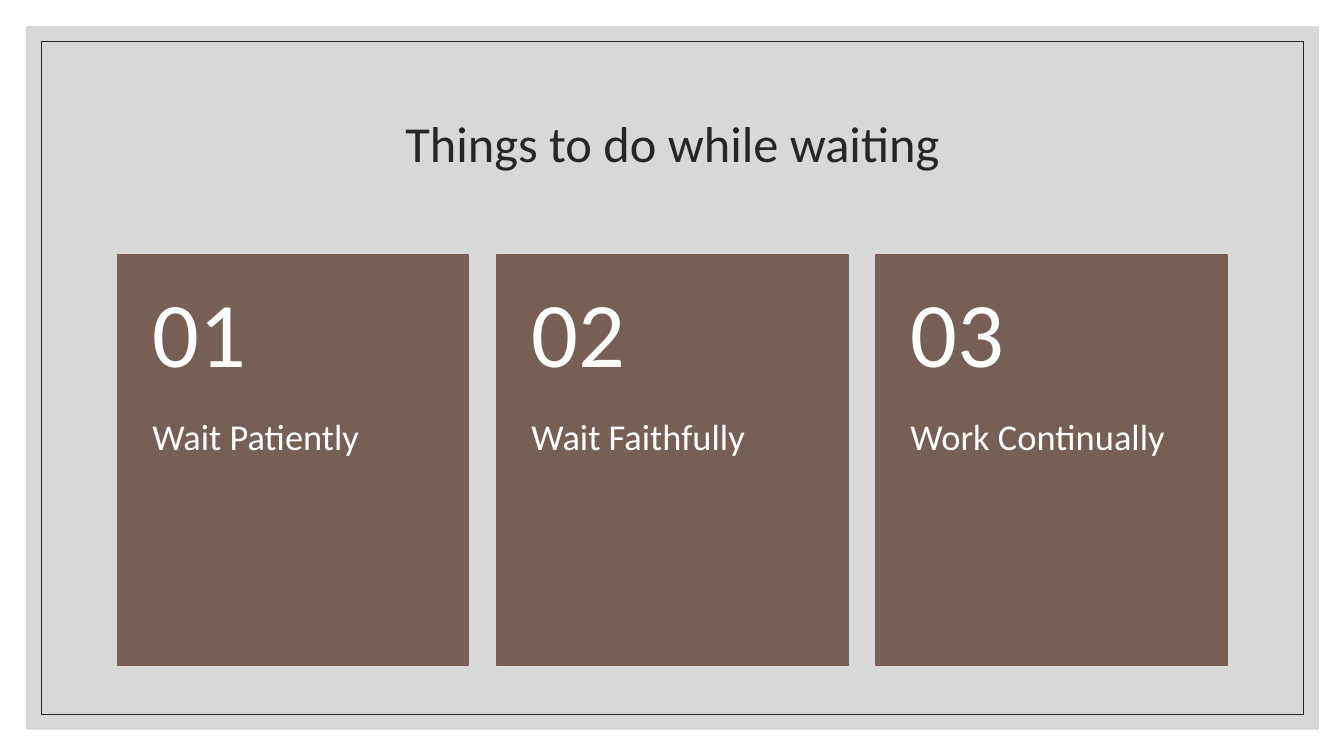
"""Build the slide of three numbered things to do while waiting."""
from dataclasses import dataclass

from lxml.etree import SubElement
from pptx import Presentation
from pptx.dml.color import RGBColor
from pptx.enum.shapes import MSO_SHAPE
from pptx.enum.text import MSO_ANCHOR, MSO_AUTO_SIZE, PP_ALIGN
from pptx.oxml.ns import qn
from pptx.shapes.autoshape import Shape
from pptx.slide import Slide
from pptx.text.text import TextFrame
from pptx.util import Pt

EMU_PER_PX = 9144
COLORS = {"panel": "BFBFBF", "ink": "262626", "card": "775F55", "white": "FFFFFF"}
CARD_LEFT, CARD_TOP, CARD_WIDTH, CARD_STEP = 117, 253, 348, 376
NUMBER_HEIGHT, LABEL_HEIGHT = 163, 244


@dataclass(frozen=True)
class Box:
    left: int
    top: int
    width: int
    height: int

    def emu(self) -> tuple[int, int, int, int]:
        return px(self.left), px(self.top), px(self.width), px(self.height)


@dataclass(frozen=True)
class TextStyle:
    size: int
    color: str
    align: PP_ALIGN
    anchor: MSO_ANCHOR
    margins: tuple[int, int, int, int]


TITLE_STYLE = TextStyle(36, "ink", PP_ALIGN.CENTER, MSO_ANCHOR.MIDDLE, (10, 5, 10, 5))
NUMBER_STYLE = TextStyle(66, "white", PP_ALIGN.LEFT, MSO_ANCHOR.MIDDLE, (34, 18, 34, 18))
LABEL_STYLE = TextStyle(26, "white", PP_ALIGN.LEFT, MSO_ANCHOR.TOP, (34, 0, 34, 36))


def px(length: int) -> int:
    return length * EMU_PER_PX


def color(name: str) -> RGBColor:
    return RGBColor.from_string(COLORS[name])


def add_rectangle(slide: Slide, box: Box, fill: str = "", line: str = "",
                  line_width: float = 1) -> Shape:
    shape = slide.shapes.add_shape(MSO_SHAPE.RECTANGLE, *box.emu())
    shape.shadow.inherit = False
    for part, name in ((shape.fill, fill), (shape.line.fill, line)):
        if name:
            part.solid()
            part.fore_color.rgb = color(name)
        else:
            part.background()
    if line:
        shape.line.width = Pt(line_width)
    return shape


def set_opacity(shape: Shape, percent: int) -> None:
    fill_color = shape.element.spPr.find(qn("a:solidFill"))[0]
    SubElement(fill_color, qn("a:alpha")).set("val", str(percent * 1000))


def write_text(frame: TextFrame, text: str, style: TextStyle) -> None:
    left, top, right, bottom = map(px, style.margins)
    frame_format = {
        "word_wrap": True, "auto_size": MSO_AUTO_SIZE.NONE,
        "vertical_anchor": style.anchor, "margin_left": left,
        "margin_top": top, "margin_right": right, "margin_bottom": bottom,
    }
    for name, value in frame_format.items():
        setattr(frame, name, value)
    paragraph = frame.paragraphs[0]
    paragraph.alignment = style.align
    paragraph.line_spacing = 0.9
    run = paragraph.add_run()
    run.text = text
    run.font.name = "Calibri"
    run.font.size = Pt(style.size)
    run.font.color.rgb = color(style.color)


def add_title(slide: Slide, text: str, box: Box) -> None:
    title = slide.shapes.title
    title.left, title.top, title.width, title.height = box.emu()
    write_text(title.text_frame, text, TITLE_STYLE)


def add_backdrop(slide: Slide) -> None:
    panel = add_rectangle(slide, Box(26, 26, 1282, 698), fill="panel")
    set_opacity(panel, 60)
    frame = add_rectangle(slide, Box(41, 41, 1252, 668), line="ink", line_width=0.5)
    for shape in (panel, frame):
        slide.shapes.title.element.addprevious(shape.element)


def add_card(slide: Slide, index: int, label: str) -> None:
    left = CARD_LEFT + index * CARD_STEP
    card = Box(left, CARD_TOP, CARD_WIDTH, NUMBER_HEIGHT + LABEL_HEIGHT)
    add_rectangle(slide, card, fill="card", line="card")
    label_box = Box(left, CARD_TOP + NUMBER_HEIGHT, CARD_WIDTH, LABEL_HEIGHT)
    number_box = Box(left, CARD_TOP, CARD_WIDTH, NUMBER_HEIGHT)
    for box, text, style in (
        (label_box, label, LABEL_STYLE),
        (number_box, f"{index + 1:02}", NUMBER_STYLE),
    ):
        write_text(slide.shapes.add_textbox(*box.emu()).text_frame, text, style)


def main() -> None:
    presentation = Presentation()
    presentation.slide_width, presentation.slide_height = px(1333), px(750)
    slide = presentation.slides.add_slide(presentation.slide_layouts.get_by_name("Title Only"))
    add_backdrop(slide)
    add_title(slide, "Things to do while waiting", Box(117, 70, 1100, 150))
    for index, label in enumerate(("Wait Patiently", "Wait Faithfully", "Work Continually")):
        add_card(slide, index, label)
    presentation.save("out.pptx")


if __name__ == "__main__":
    main()
